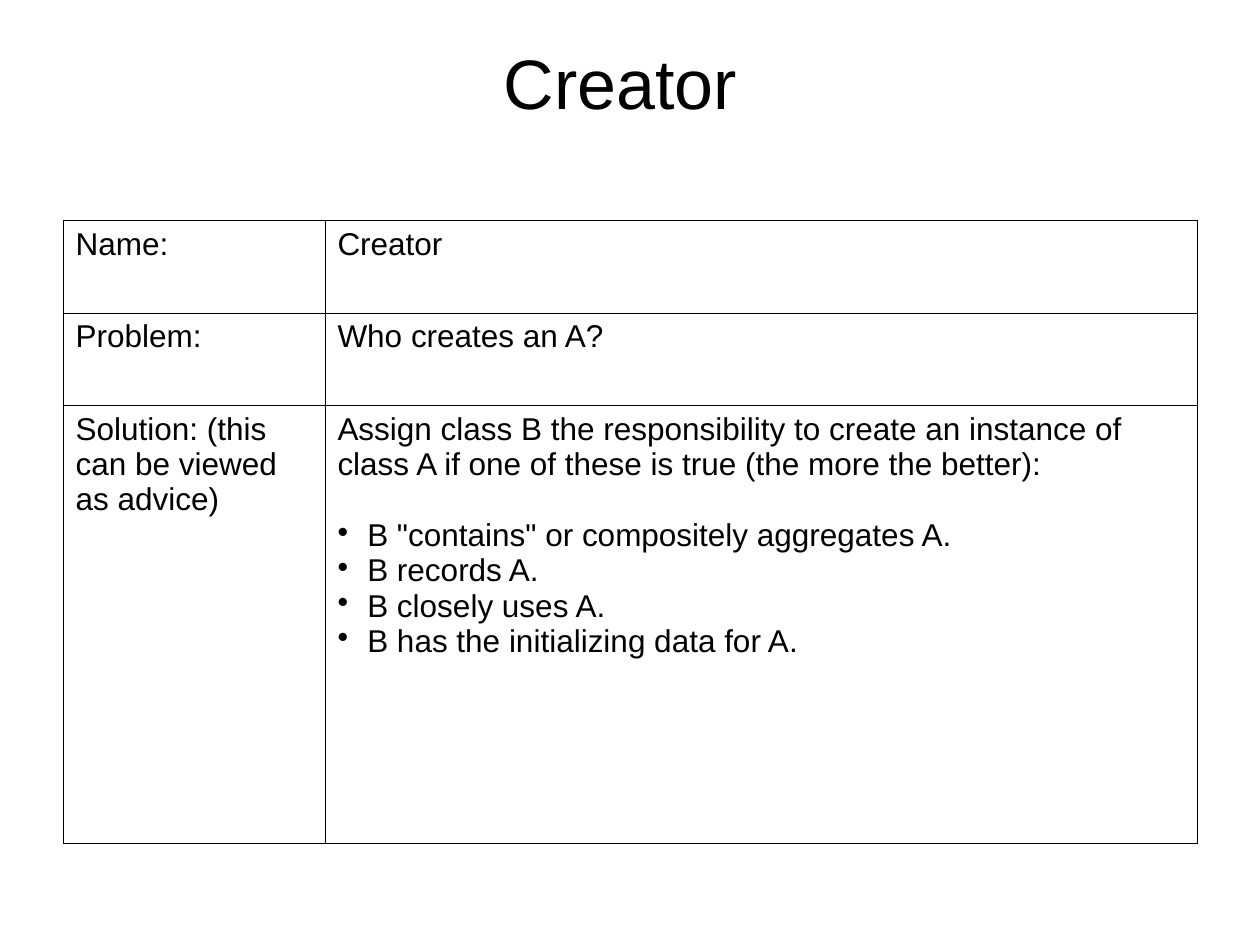
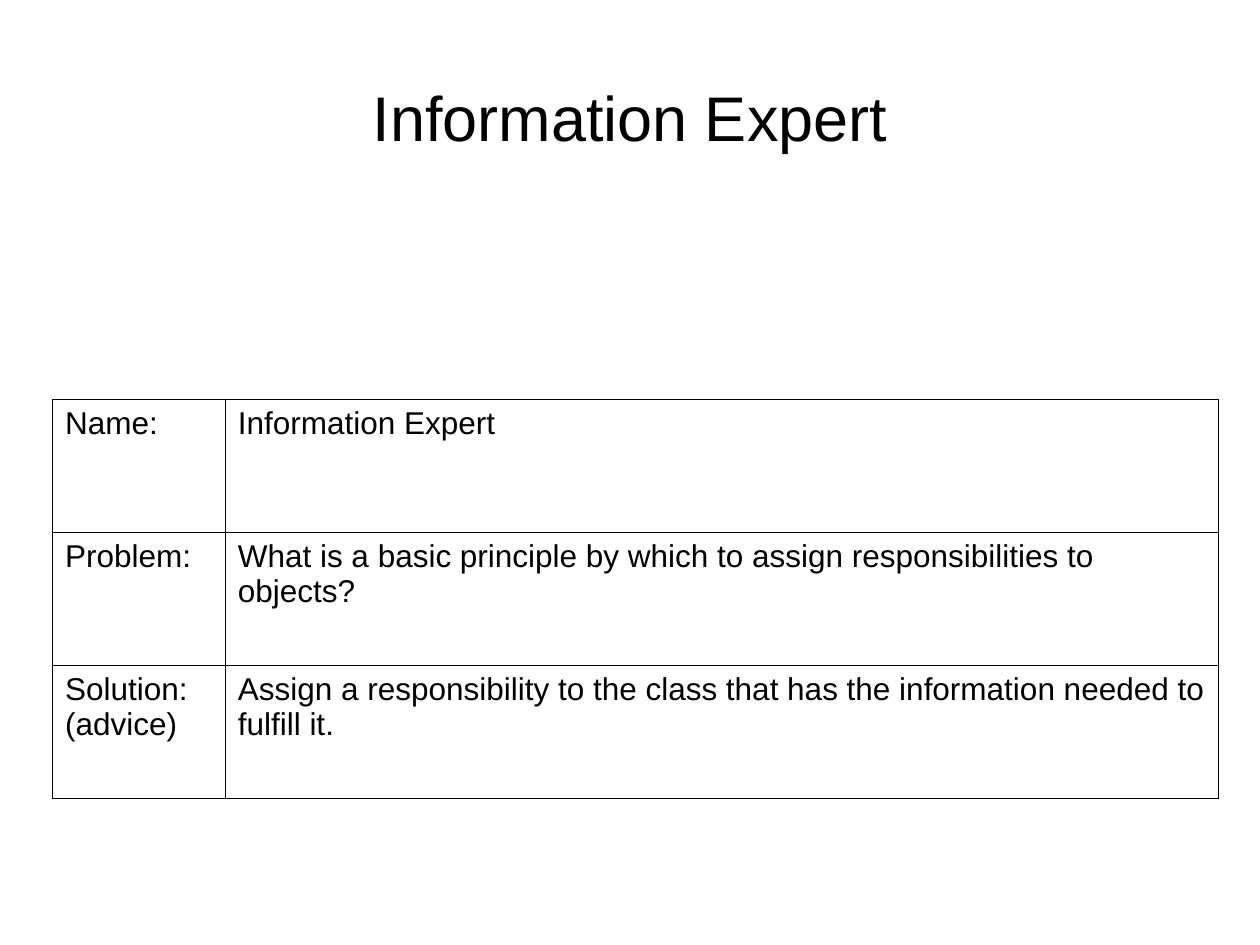
from dataclasses import dataclass

from lxml import etree
from pptx import Presentation
from pptx.dml.color import RGBColor
from pptx.enum.text import MSO_ANCHOR, PP_ALIGN
from pptx.oxml.ns import qn
from pptx.util import Cm, Pt

LEFT = PP_ALIGN.LEFT
CENTER = PP_ALIGN.CENTER
MIDDLE = MSO_ANCHOR.MIDDLE


@dataclass(frozen=True)
class Theme:
    font: str = "Arial"
    ink: str = "000000"
    paper: str = "FFFFFF"
    body_size: float = 18
    list_gap: float = 20.5
    border: float = 0.45
    bullet_indent: float = 0.6


theme = Theme()


def write(paragraph, text, size=theme.body_size, align=LEFT, bullet=False, before=0):
    paragraph.alignment = align
    paragraph.space_before = Pt(before)
    if bullet:
        properties = paragraph._p.get_or_add_pPr()
        indent = Cm(theme.bullet_indent)
        properties.set("marL", str(indent))
        properties.set("indent", str(-indent))
        color = etree.SubElement(properties, qn("a:buClr"))
        etree.SubElement(color, qn("a:srgbClr"), val=theme.ink)
        etree.SubElement(properties, qn("a:buChar"), char="•")
    run = paragraph.add_run()
    run.text = text
    run.font.name = theme.font
    run.font.size = Pt(size)
    run.font.color.rgb = RGBColor.from_string(theme.ink)


def outline(cell):
    properties = cell._tc.get_or_add_tcPr()
    for side in ("lnL", "lnR", "lnT", "lnB"):
        line = etree.SubElement(properties, qn(f"a:{side}"), w=str(Pt(theme.border)))
        fill = etree.SubElement(line, qn("a:solidFill"))
        etree.SubElement(fill, qn("a:srgbClr"), val=theme.ink)


patterns = [
    {
        "title": "Creator ",
        "title_size": 40,
        "title_height": 1.78,
        "origin": (1.27, 4.45),
        "columns": (5.28, 17.58),
        "rows": (1.86, 1.86, 8.84),
        "cells": [
            ("Name:", "Creator"),
            ("Problem:", "Who creates an A?"),
            (
                "Solution: (this can be viewed as advice)",
                "Assign class B the responsibility to create an instance of "
                "class A if one of these is true (the more the better):",
            ),
        ],
        "conditions": [
            'B "contains" or compositely aggregates A.',
            "B records A.",
            "B closely uses A.",
            "B has the initializing data for A.",
        ],
    },
    {
        "title": "Information Expert",
        "title_size": 36,
        "title_height": 3.18,
        "origin": (1.06, 8.06),
        "columns": (3.48, 20.02),
        "rows": (2.68, 2.68, 2.68),
        "cells": [
            ("Name:", "Information Expert"),
            (
                "Problem:",
                "What is a basic principle by which to assign responsibilities to objects?",
            ),
            (
                "Solution: (advice)",
                "Assign a responsibility to the class that has the information "
                "needed to fulfill it.",
            ),
        ],
        "conditions": [],
    },
]

presentation = Presentation()
presentation.slide_width = Cm(25.4)
presentation.slide_height = Cm(19.05)
blank_layout = presentation.slide_layouts[6]

for pattern in patterns:
    slide = presentation.slides.add_slide(blank_layout)
    slide.background.fill.solid()
    slide.background.fill.fore_color.rgb = RGBColor.from_string(theme.paper)

    title = slide.shapes.add_textbox(
        Cm(1.27), Cm(0.76), Cm(22.86), Cm(pattern["title_height"])
    )
    title.text_frame.word_wrap = True
    title.text_frame.vertical_anchor = MIDDLE
    write(
        title.text_frame.paragraphs[0],
        pattern["title"],
        size=pattern["title_size"],
        align=CENTER,
    )

    left, top = pattern["origin"]
    widths, heights = pattern["columns"], pattern["rows"]
    table = slide.shapes.add_table(
        len(heights), len(widths), Cm(left), Cm(top), Cm(sum(widths)), Cm(sum(heights))
    ).table
    table.first_row = False
    table.horz_banding = False
    for column, width in zip(table.columns, widths):
        column.width = Cm(width)
    for row, height, texts in zip(table.rows, heights, pattern["cells"]):
        row.height = Cm(height)
        for cell, text in zip(row.cells, texts):
            outline(cell)
            cell.fill.background()
            write(cell.text_frame.paragraphs[0], text)

    solution = table.cell(len(heights) - 1, 1).text_frame
    for index, condition in enumerate(pattern["conditions"]):
        gap = theme.list_gap if index == 0 else 0
        write(solution.add_paragraph(), condition, bullet=True, before=gap)

presentation.save("out.pptx")
